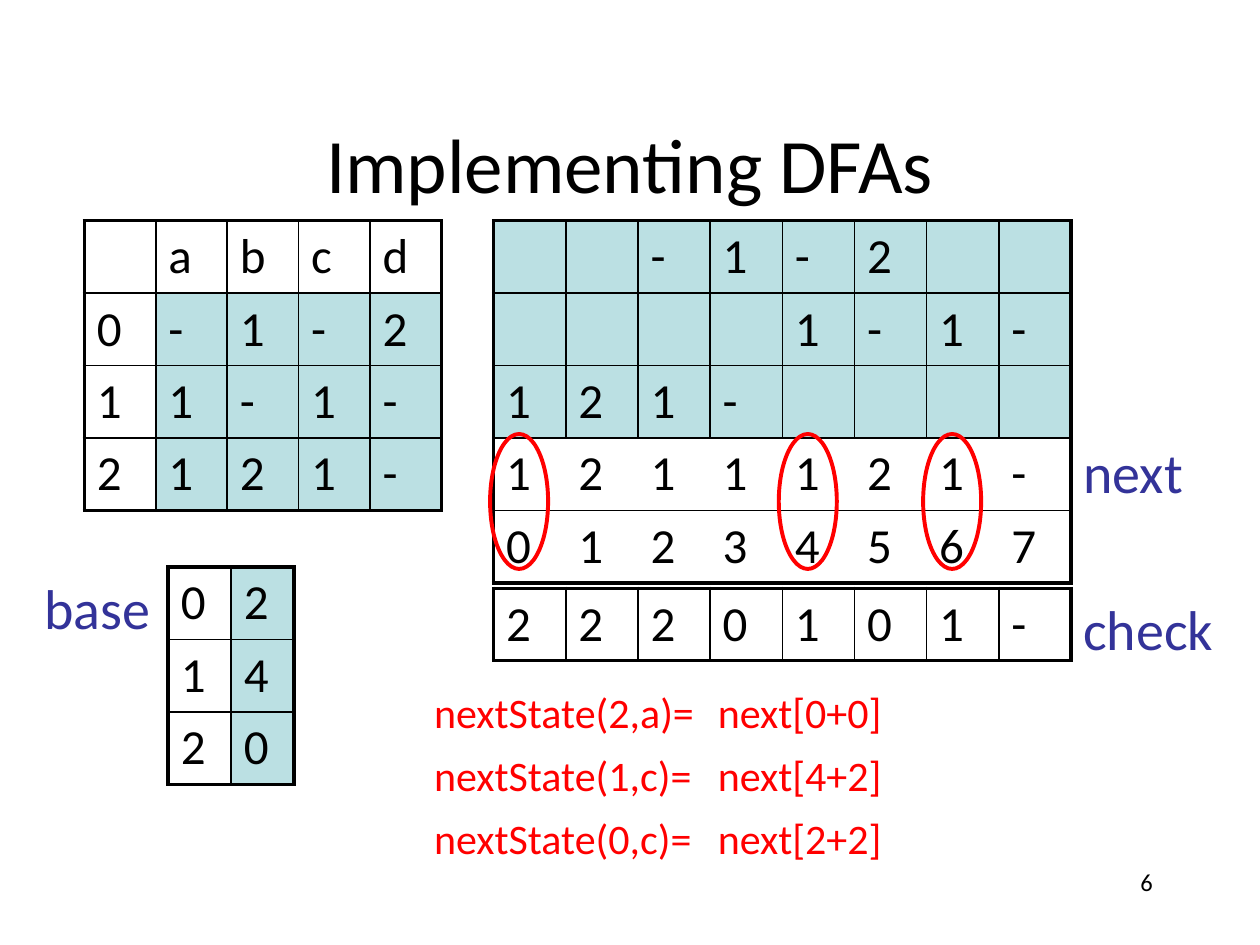
from lxml import etree
from pptx import Presentation
from pptx.dml.color import RGBColor
from pptx.enum.shapes import MSO_SHAPE
from pptx.enum.text import MSO_ANCHOR, MSO_AUTO_SIZE, PP_ALIGN
from pptx.oxml.ns import qn
from pptx.util import Cm, Pt

OVAL = MSO_SHAPE.OVAL
MIDDLE, TOP = MSO_ANCHOR.MIDDLE, MSO_ANCHOR.TOP
LEFT, CENTER, RIGHT = PP_ALIGN.LEFT, PP_ALIGN.CENTER, PP_ALIGN.RIGHT
FIT_SHAPE = MSO_AUTO_SIZE.SHAPE_TO_FIT_TEXT

FONT = "Calibri"
BLACK, RED, BLUE, TEAL = "000000", "FF0000", "333399", "BBE0E3"
ROW_HEIGHT = 1.46
THICK, THIN = 2.25, 1

TRANSITIONS = ["-1-2", "1-1-", "121-"]
# Each transition row shifted right by its base offset
SHIFTED = ["  -1-2  ", "    1-1-", "121-    "]
NEXT = ["1211121-", "01234567"]
CHECK = ["2220101-"]
LOOKUPS = [("nextState(2,a)=", "next[0+0]"),
           ("nextState(1,c)=", "next[4+2]"),
           ("nextState(0,c)=", "next[2+2]")]


def color(value):
    return RGBColor.from_string(value)


def format_text(frame, text, size, fill=BLACK, align=LEFT):
    paragraph = frame.paragraphs[0]
    paragraph.alignment = align
    run = paragraph.add_run()
    run.text = text
    run.font.name = FONT
    run.font.size = Pt(size)
    run.font.color.rgb = color(fill)


def add_text(slide, box, text, wrap=False, anchor=TOP, **text_format):
    frame = slide.shapes.add_textbox(*map(Cm, box)).text_frame
    frame.word_wrap = wrap
    frame.vertical_anchor = anchor
    if not wrap:
        frame.auto_size = FIT_SHAPE
    format_text(frame, text, **text_format)


def set_borders(cell, widths):
    """Widths are points for left, right, top and bottom; 0 hides a side."""
    properties = cell._tc.get_or_add_tcPr()
    for side, width in zip("LRTB", widths):
        line = etree.SubElement(properties, qn(f"a:ln{side}"), w=str(Pt(width)))
        if width:
            fill = etree.SubElement(line, qn("a:solidFill"))
            etree.SubElement(fill, qn("a:srgbClr"), val=BLACK)
        else:
            etree.SubElement(line, qn("a:noFill"))


def add_grid(slide, left, top, width, rows, shaded, open_rows=()):
    """Thick frame, thin inner lines; open rows have no inner vertical lines."""
    row_count, column_count = len(rows), len(rows[0])
    box = map(Cm, (left, top, width, ROW_HEIGHT * row_count))
    table = slide.shapes.add_table(row_count, column_count, *box).table
    table.first_row = table.horz_banding = False
    for column in table.columns:
        column.width = Cm(width / column_count)
    for r, row in enumerate(rows):
        table.rows[r].height = Cm(ROW_HEIGHT)
        inner = 0 if r in open_rows else THIN
        for c, text in enumerate(row):
            cell = table.cell(r, c)
            set_borders(cell, (THICK if c == 0 else inner,
                               THICK if c == column_count - 1 else inner,
                               THICK if r == 0 else THIN,
                               THICK if r == row_count - 1 else THIN))
            if shaded(r, c):
                cell.fill.solid()
                cell.fill.fore_color.rgb = color(TEAL)
            else:
                cell.fill.background()
            if text.strip():
                format_text(cell.text_frame, text, 28)


def add_ring(slide, left, top, width, height):
    ring = slide.shapes.add_shape(OVAL, *map(Cm, (left, top, width, height)))
    ring.shadow.inherit = False
    ring.fill.background()
    ring.line.color.rgb = color(RED)
    ring.line.width = Pt(THICK)


def add_transition_table(slide, left, top, width):
    rows = [" abcd"] + [f"{state}{row}" for state, row in enumerate(TRANSITIONS)]
    add_grid(slide, left, top, width, rows, lambda r, c: r > 0 and c > 0)


def add_base_table(slide, left, top, width):
    add_grid(slide, left, top, width, ["02", "14", "20"], lambda r, c: c == 1)
    add_text(slide, (left - 2.75, top, 2.67, 1.63), "base", size=32, fill=BLUE)


def add_packed_tables(slide, left, top, width):
    # Shifted rows, with the merged next row and its indices below
    add_grid(slide, left, top, width, SHIFTED + NEXT,
             lambda r, c: r < len(SHIFTED), open_rows=(3, 4))
    label_left = left + width
    add_text(slide, (label_left, top + 4.24, 2.57, 1.63), "next", size=32, fill=BLUE)
    # Check row
    check_top = top + 7.41
    add_grid(slide, left, check_top, width, CHECK, lambda r, c: False)
    add_text(slide, (label_left, check_top, 3.15, 1.6), "check", size=32, fill=BLUE)
    # Rings around the looked-up entries
    for index in (0, 4, 6):
        add_ring(slide, left - 0.07 + index * width / 8, top + 4.3, 1.17, 2.72)


def add_lookups(slide, left, top, pitch):
    for index, (call, entry) in enumerate(LOOKUPS):
        line_top = top + index * pitch
        add_text(slide, (left, line_top, 5.92, 1.27), call, size=24, fill=RED)
        add_text(slide, (left + 5.72, line_top, 3.89, 1.27), entry, size=24, fill=RED)


def main():
    presentation = Presentation()
    presentation.slide_width, presentation.slide_height = Cm(25.4), Cm(19.05)
    slide = presentation.slides.add_slide(presentation.slide_layouts[6])

    # Title and slide number
    add_text(slide, (1.9, 1.7, 21.6, 3.18), "Implementing DFAs",
             wrap=True, anchor=MIDDLE, size=44, align=CENTER)
    add_text(slide, (18.2, 17.36, 5.29, 1.27), "6", wrap=True, size=14, align=RIGHT)

    # Tables and lookups
    add_transition_table(slide, 1.7, 4.45, 7.2)
    add_base_table(slide, 3.39, 11.43, 2.54)
    add_packed_tables(slide, 9.95, 4.45, 11.64)
    add_lookups(slide, 8.5, 13.72, 1.27)

    presentation.save("out.pptx")


if __name__ == "__main__":
    main()
